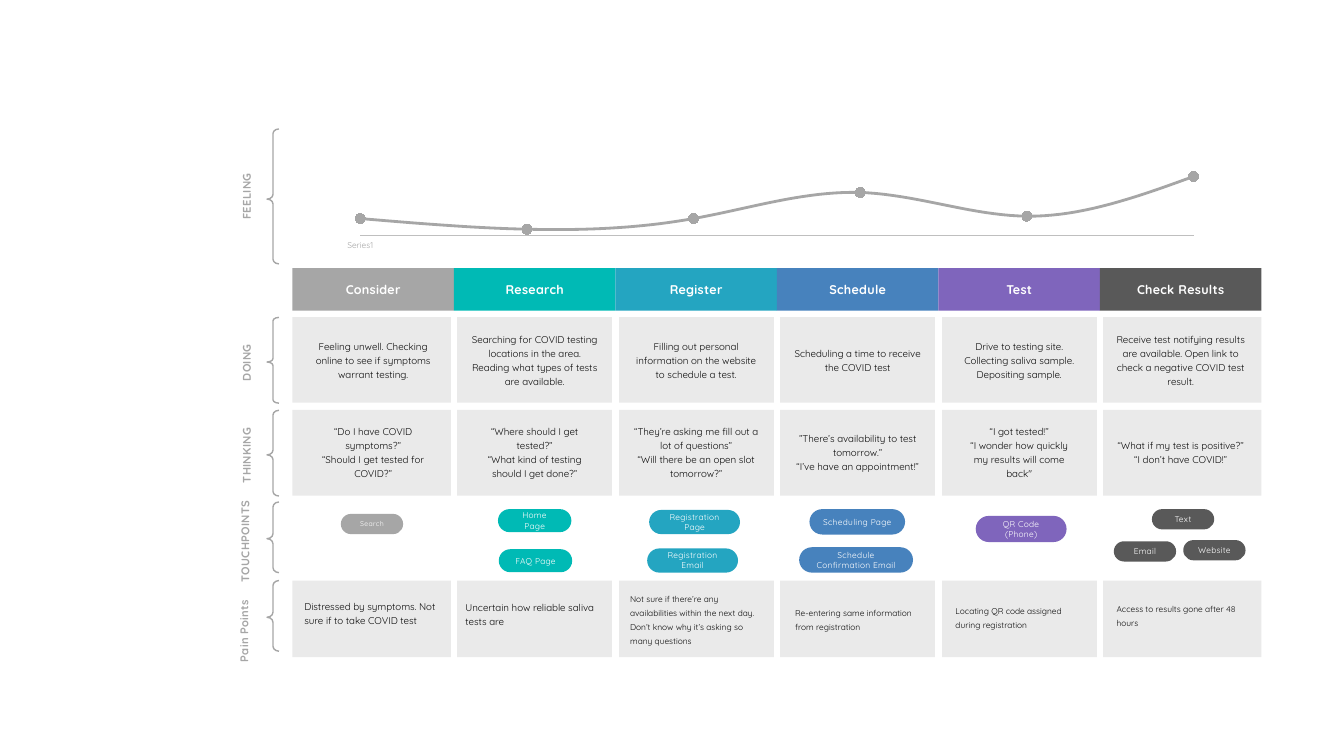
from lxml.etree import SubElement
from pptx import Presentation
from pptx.chart.data import CategoryChartData as ChartData
from pptx.dml.color import RGBColor
from pptx.enum.chart import XL_CHART_TYPE as Chart, XL_MARKER_STYLE as Marker
from pptx.enum.chart import XL_TICK_MARK as Tick
from pptx.enum.shapes import MSO_CONNECTOR as Link, MSO_SHAPE as Shape
from pptx.enum.text import MSO_ANCHOR as Anchor, PP_ALIGN as Align
from pptx.oxml import parse_xml
from pptx.oxml.ns import nsdecls, qn
from pptx.util import Cm, Pt

FONT = "Quicksand"
GREY, TEAL, CYAN, BLUE, PURPLE, DARK = (
    "A6A6A6", "00BAB5", "24A5C1", "4782BD", "7F65BC", "595959")
WHITE, PALE, INK = "FFFFFF", "EAEAEA", "0D0D0D"

# Column grid and row bands, in cm
LEFT, STEP = 7.37, 4.07
STAGES = [("Consider", GREY), ("Research", TEAL), ("Register", CYAN),
          ("Schedule", BLUE), ("Test", PURPLE), ("Check Results", DARK)]
WIDE = STEP * len(STAGES)
BANDS = [(7.99, 2.16, PALE), (10.33, 2.16, PALE), (14.63, 1.93, PALE),
         (3.18, 3.4, WHITE)]
RULES = [(7.87, 12.5), (14.55, 16.76)]

# Row labels: text, centre x, centre y, width, brace top, height, curl
ROWS = [("FEELING", 6.21, 4.95, 2.62, 3.25, 3.4, 0.39),
        ("DOING", 6.21, 9.14, 1.65, 8.0, 2.16, 0.29),
        ("THINKING", 6.21, 11.48, 1.9, 10.34, 2.16, 0.39),
        ("TOUCHPOINTS", 6.17, 13.64, 2.9, 12.65, 1.78, 0.42),
        ("Pain Points", 6.15, 15.9, 2.18, 14.63, 1.78, 0.42)]

DOING = ["Feeling unwell. Checking online to see if symptoms warrant testing.",
         "Searching for COVID testing locations in the area. "
         "Reading what types of tests are available.",
         "Filling out personal information on the website to schedule a test.",
         "Scheduling a time to receive the COVID test",
         "Drive to testing site. Collecting saliva sample. Depositing sample.",
         "Receive test notifying results are available. "
         "Open link to check a negative COVID test result."]

# Thoughts: width, lines
THINKING = [
    (2.67, ["“Do I have COVID symptoms?”", "“Should I get tested for COVID?”"]),
    (2.8, ["“Where should I get tested?”",
           "“What kind of testing should I get done?”"]),
    (3.3, ["“They’re asking me fill out a lot of questions”",
           "“Will there be an open slot tomorrow?”"]),
    (3.3, ["”There’s availability to test tomorrow.”",
           "“I’ve have an appointment!”"]),
    (2.87, ["“I got tested!”",
            "“I wonder how quickly my results will come back\""]),
    (3.3, ["“What if my test is positive?”", "“I don’t have COVID!”"])]

# Pain points: left, centre y, width, size, text
PAINS = [
    (7.67, 15.43, 3.45, 7,
     "Distressed by symptoms. Not sure if to take COVID test"),
    (11.73, 15.45, 3.45, 7, "Uncertain how reliable saliva tests are"),
    (15.88, 15.57, 3.3, 6,
     "Not sure if there’re any availabilities within the next day. "
     "Don’t know why it’s asking so many questions"),
    (20.04, 15.57, 3.3, 6, "Re-entering same information from registration"),
    (24.08, 15.52, 3.3, 6, "Locating QR code assigned during registration"),
    (28.14, 15.47, 3.3, 6, "Access to results gone after 48 hours")]

# Touchpoints: left, top, width, height, colour, text
PILLS = [(8.59, 12.95, 1.57, 0.51, GREY, "Search"),
         (12.55, 12.83, 1.85, 0.58, TEAL, "Home Page"),
         (12.57, 13.84, 1.85, 0.58, TEAL, "FAQ Page"),
         (16.36, 12.85, 2.29, 0.61, CYAN, "Registration Page"),
         (16.31, 13.82, 2.29, 0.61, CYAN, "Registration Email"),
         (20.4, 12.83, 2.41, 0.64, BLUE, "Scheduling Page"),
         (20.14, 13.79, 2.87, 0.64, BLUE, "Schedule Confirmation Email"),
         (24.59, 13.0, 2.29, 0.66, PURPLE, "QR Code (Phone)"),
         (29.03, 12.83, 1.57, 0.51, DARK, "Text"),
         (28.07, 13.64, 1.57, 0.51, DARK, "Email"),
         (29.82, 13.61, 1.57, 0.51, DARK, "Website")]


def tint(code):
    return RGBColor.from_string(code)


def style(para, size, code, bold=False, track=0, align=Align.CENTER):
    para.alignment = align
    font = para.font
    font.name, font.size, font.bold = FONT, Pt(size), bold
    font.color.rgb = tint(code)
    if track:
        font._rPr.set("spc", str(track))


def block(slide, kind, x, y, w, h, fill=None):
    box = slide.shapes.add_shape(kind, Cm(x), Cm(y), Cm(w), Cm(h))
    box.shadow.inherit = False
    box.line.fill.background()
    if fill:
        box.fill.solid()
        box.fill.fore_color.rgb = tint(fill)
    else:
        box.fill.background()
    return box


def title(box, text, size, code=WHITE, bold=False):
    frame = box.text_frame
    frame.vertical_anchor = Anchor.MIDDLE
    frame.text = text
    style(frame.paragraphs[0], size, code, bold, 20)


def note(slide, x, mid, w, lines, size=7, align=Align.CENTER):
    high = 1.4
    box = slide.shapes.add_textbox(Cm(x), Cm(mid - high / 2), Cm(w), Cm(high))
    frame = box.text_frame
    frame.word_wrap = True
    frame.vertical_anchor = Anchor.MIDDLE
    frame.margin_left = frame.margin_right = 0
    frame.margin_top = frame.margin_bottom = 0
    frame.text = "\n".join(lines)
    for para in frame.paragraphs:
        style(para, size, INK, align=align)
        para.line_spacing = Pt(10)


def rule(slide, x, top, end):
    line = slide.shapes.add_connector(Link.STRAIGHT, Cm(x), Cm(top), Cm(x), Cm(end))
    line.line.color.rgb = tint(WHITE)
    line.line.width = Pt(4.5)
    SubElement(line._element.spPr, qn("a:effectLst"))


def label(slide, text, x, y, w, top, high, curl):
    brace = block(slide, Shape.LEFT_BRACE, 6.73, top, 0.3, high)
    brace.adjustments[0], brace.adjustments[1] = curl, 0.52
    brace.line.color.rgb = tint(GREY)
    brace.line.width = Pt(1)
    box = block(slide, Shape.RECTANGLE, x - w / 2, y - 0.3, w, 0.6, WHITE)
    box.rotation = 270
    title(box, text, 8, GREY, True)
    box.text_frame.word_wrap = False


def curve(slide):
    data = ChartData()
    data.categories = ["Series1"] + [""] * 5
    data.add_series("Series 1", [29, 11, 29, 73, 33, 100])
    chart = slide.shapes.add_chart(Chart.LINE_MARKERS, Cm(LEFT), Cm(3.4),
                                   Cm(WIDE), Cm(3.18), data).chart
    chart.has_legend = chart.has_title = False
    chart.font.name, chart.font.size = FONT, Pt(6)
    chart.font.color.rgb = tint(GREY)
    plot = chart.plots[0]
    plot.vary_by_categories = False
    line = plot.series[0]
    line.smooth = True
    line.format.line.color.rgb = tint(GREY)
    line.format.line.width = Pt(2)
    line.marker.style, line.marker.size = Marker.CIRCLE, 7
    line.marker.format.fill.solid()
    line.marker.format.fill.fore_color.rgb = tint(GREY)
    line.marker.format.line.color.rgb = tint(GREY)
    base, side = chart.category_axis, chart.value_axis
    base.major_tick_mark = Tick.NONE
    base.format.line.color.rgb = tint("BFBFBF")
    base.format.line.width = Pt(0.75)
    side.visible = side.has_major_gridlines = False
    side.minimum_scale, side.maximum_scale = 0, 134
    # Points start and end on the edges of the plot
    axis = side._element
    for old in axis.findall(qn("c:crossBetween")):
        axis.remove(old)
    axis.find(qn("c:crosses")).addnext(
        parse_xml(f'<c:crossBetween {nsdecls("c")} val="midCat"/>'))
    # Fixed inner plot area
    area = chart._chartSpace.chart.plotArea
    for old in area.findall(qn("c:layout")):
        area.remove(old)
    parts = [("layoutTarget", "inner"), ("xMode", "edge"), ("yMode", "edge"),
             ("x", 0.07), ("y", 0.17), ("w", 0.86), ("h", 0.63)]
    tags = "".join(f'<c:{tag} val="{val}"/>' for tag, val in parts)
    area.insert(0, parse_xml(f'<c:layout {nsdecls("c")}><c:manualLayout>{tags}'
                             '</c:manualLayout></c:layout>'))


def main():
    deck = Presentation()
    deck.slide_width, deck.slide_height = Cm(33.87), Cm(19.05)
    slide = deck.slides.add_slide(deck.slide_layouts[6])
    # Stage headers, bands and column gaps
    for col, (text, code) in enumerate(STAGES):
        head = block(slide, Shape.RECTANGLE, LEFT + col * STEP, 6.76, STEP, 1.07, code)
        title(head, text, 9, bold=True)
    for top, high, code in BANDS:
        block(slide, Shape.RECTANGLE, LEFT, top, WIDE, high, code)
    for col in range(1, len(STAGES)):
        for top, end in RULES:
            rule(slide, LEFT + col * STEP, top, end)
    # Feeling curve and row labels
    curve(slide)
    for row in ROWS:
        label(slide, *row)
    # Notes
    for col, (text, (wide, lines)) in enumerate(zip(DOING, THINKING)):
        mid = LEFT + (col + 0.5) * STEP
        note(slide, mid - 1.65, 9.07, 3.3, [text])
        note(slide, mid - wide / 2, 11.38, wide, lines)
    for x, mid, wide, size, text in PAINS:
        note(slide, x, mid, wide, [text], size, Align.LEFT)
    # Touchpoints
    for x, y, w, h, code, text in PILLS:
        pill = block(slide, Shape.ROUNDED_RECTANGLE, x, y, w, h, code)
        pill.adjustments[0] = 0.5
        title(pill, text, 5 if code == GREY else 6)
    deck.save("out.pptx")


if __name__ == "__main__":
    main()
